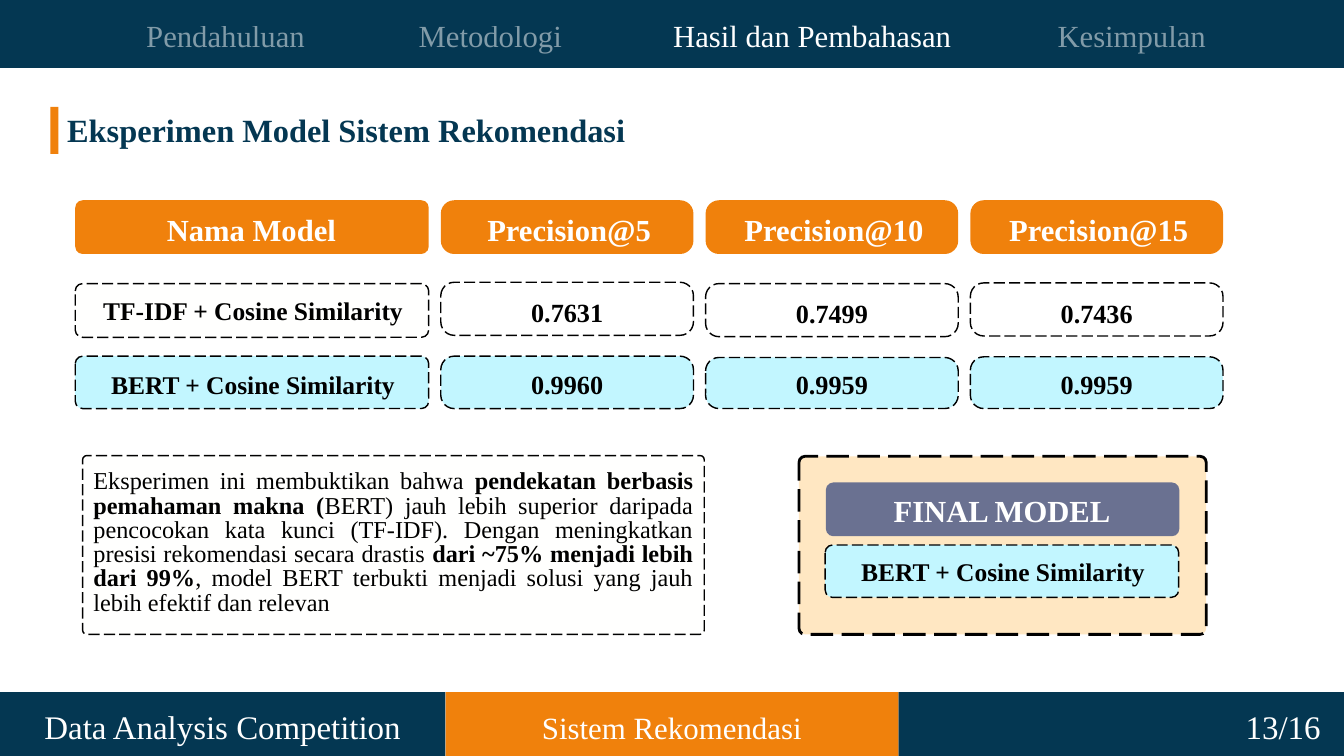
import pptx
import pptx.util
import pptx.dml.color
import pptx.enum.dml
import pptx.enum.shapes
import pptx.enum.text
import pptx.oxml.ns
from lxml import etree

Inches, Pt = pptx.util.Inches, pptx.util.Pt
SHAPE = pptx.enum.shapes.MSO_SHAPE
ALIGN = pptx.enum.text.PP_ALIGN
FONT = "Times New Roman"
COLORS = {
    "navy": "043752", "orange": "F0810C", "white": "FFFFFF", "offwhite": "FFFFFE",
    "black": "000000", "cyan": "C2F6FF", "cream": "FFE7C2", "slate": "6A7191",
}


def rgb(name):
    return pptx.dml.color.RGBColor.from_string(COLORS[name])


def add_box(s, x, y, w, h, fill=None, radius=0, line=0):
    """Plain or rounded rectangle; line is the width of a dashed outline."""
    kind = SHAPE.ROUNDED_RECTANGLE if radius else SHAPE.RECTANGLE
    sp = s.shapes.add_shape(kind, Inches(x), Inches(y), Inches(w), Inches(h))
    sp.shadow.inherit = False
    if radius:
        sp.adjustments[0] = radius / min(w, h)
    if fill:
        sp.fill.solid()
        sp.fill.fore_color.rgb = rgb(fill)
    else:
        sp.fill.background()
    if line:
        sp.line.color.rgb = rgb("black")
        sp.line.width = Pt(line)
        sp.line.dash_style = pptx.enum.dml.MSO_LINE.LONG_DASH
    else:
        sp.line.fill.background()
    return sp


def add_text(s, x, y, w, h, runs, size, spacing, color="white", bold=False,
             align=ALIGN.CENTER, alpha=None):
    """Text box of one paragraph; runs is a string or a list of (text, bold)."""
    tf = s.shapes.add_textbox(Inches(x), Inches(y), Inches(w), Inches(h)).text_frame
    tf.word_wrap = True
    tf.auto_size = pptx.enum.text.MSO_AUTO_SIZE.SHAPE_TO_FIT_TEXT
    tf.margin_left = tf.margin_right = tf.margin_top = tf.margin_bottom = 0
    p = tf.paragraphs[0]
    p.alignment = align
    p.line_spacing = Pt(spacing)
    p.font.name, p.font.size = FONT, Pt(size)
    p.font.color.rgb = rgb(color)
    if alpha:
        clr = p.font.fill.fore_color
        clr.rgb = rgb(color)
        for node in p._p.iter(pptx.oxml.ns.qn("a:srgbClr")):
            etree.SubElement(node, pptx.oxml.ns.qn("a:alpha")).set("val", str(alpha * 1000))
    if isinstance(runs, str):
        p.font.bold = bold
        runs = [(runs, None)]
    for text, strong in runs:
        r = p.add_run()
        r.text = text
        if strong is not None:
            r.font.bold = strong


def add_bars(s):
    for x, w, fill in ((0, 6.63, "navy"), (13.37, 6.63, "navy"), (6.63, 6.74, "orange")):
        add_box(s, x, 10.3, w, 1.12, fill)
    add_box(s, 0.75, 1.59, 0.12, 0.7, "orange")
    add_box(s, 0, -0.11, 20, 1.12, "navy")


def add_navigation(s):
    tabs = (("Pendahuluan", 2.12, 2.47, 50), ("Metodologi", 6.19, 2.21, 50),
            ("Hasil dan Pembahasan", 9.99, 4.19, None), ("Kesimpulan", 15.73, 2.22, 50))
    for text, x, w, alpha in tabs:
        add_text(s, x, 0.16, w, 0.64, text, 32.9, 46.1, alpha=alpha)


def add_footer(s):
    add_text(s, 0.66, 10.41, 5.31, 0.68, "Data Analysis Competition", 35.3, 49.4)
    add_text(s, 18.44, 10.41, 1.31, 0.68, "13/16", 35.3, 49.4)
    add_text(s, 7.51, 10.45, 4.98, 0.64, "Sistem Rekomendasi", 33.1, 46.3)


def add_model_name(s, x, y, h, text, fill, text_y):
    add_box(s, x, y, 5.26, h, fill, 0.11, 1.5)
    add_text(s, x + 0.16, text_y, 4.97, 0.51, text, 27.3, 38.2, "black", True)


def add_results(s):
    name_x, value_w = 1.12, 3.76
    value_xs = [6.56 + 3.94 * i for i in range(3)]

    # Heading row
    add_box(s, name_x, 2.98, 5.26, 0.8, "orange", 0.11)
    add_text(s, name_x + 0.16, 3.05, 4.92, 0.61, "Nama Model", 32.8, 45.9, bold=True)
    for x, k in zip(value_xs, (5, 10, 15)):
        add_box(s, x, 2.98, value_w, 0.8, "orange", 0.2)
        add_text(s, x + 0.34, 3.05, 3.14, 0.61, f"Precision@{k}", 32.8, 45.9, bold=True)

    # Model names
    add_model_name(s, name_x, 4.22, 0.8, "TF-IDF + Cosine Similarity", "offwhite", 4.31)
    add_model_name(s, name_x, 5.3, 0.78, "BERT + Cosine Similarity", "cyan", 5.41)

    # Scores: top, bottom and text top of each cell
    rows = (
        (None, 3.71, (("0.7631", 4.2, 4.99, 4.33), ("0.7499", 4.22, 5.01, 4.35),
                      ("0.7436", 4.21, 5, 4.34))),
        ("cyan", 3.57, (("0.9960", 5.3, 6.08, 5.4), ("0.9959", 5.32, 6.08, 5.4),
                        ("0.9959", 5.31, 6.08, 5.4))),
    )
    for fill, text_w, cells in rows:
        for x, (score, top, bottom, text_y) in zip(value_xs, cells):
            add_box(s, x, top, value_w, bottom - top, fill, 0.2, 1.5)
            add_text(s, x + (value_w - text_w) / 2, text_y, text_w, 0.52, score,
                     28.1, 39.4, "black", True)


def add_conclusion(s):
    add_box(s, 1.23, 6.78, 9.25, 2.66, "offwhite", 0.06, 1.5)
    add_text(s, 1.39, 7, 8.93, 2.16, [
        ("Eksperimen ini membuktikan bahwa ", False),
        ("pendekatan berbasis pemahaman makna (", True),
        ("BERT) jauh lebih superior daripada pencocokan kata kunci (TF-IDF). "
         "Dengan meningkatkan presisi rekomendasi secara drastis ", False),
        ("dari ~75% menjadi lebih dari 99%", True),
        (", model BERT terbukti menjadi solusi yang jauh lebih efektif dan relevan", False),
    ], 26, 26, "black", align=ALIGN.JUSTIFY)


def add_final_model(s):
    add_box(s, 11.89, 6.79, 6.06, 2.65, "cream", 0.09, 3)
    add_box(s, 12.29, 7.18, 5.26, 0.8, "slate", 0.11)
    add_text(s, 12.45, 7.23, 4.92, 0.63, "FINAL MODEL", 32.8, 45.9, bold=True)
    add_model_name(s, 12.28, 8.11, 0.78, "BERT + Cosine Similarity", "cyan", 8.2)


def main():
    prs = pptx.Presentation()
    prs.slide_width, prs.slide_height = Inches(20), Inches(11.25)
    s = prs.slides.add_slide(prs.slide_layouts[6])

    add_bars(s)
    add_results(s)
    add_navigation(s)
    add_footer(s)
    add_text(s, 1, 1.55, 8.37, 0.73, "Eksperimen Model Sistem Rekomendasi",
             34.7, 48.5, "navy", True, ALIGN.LEFT)
    add_conclusion(s)
    add_final_model(s)

    prs.save("out.pptx")


if __name__ == "__main__":
    main()
